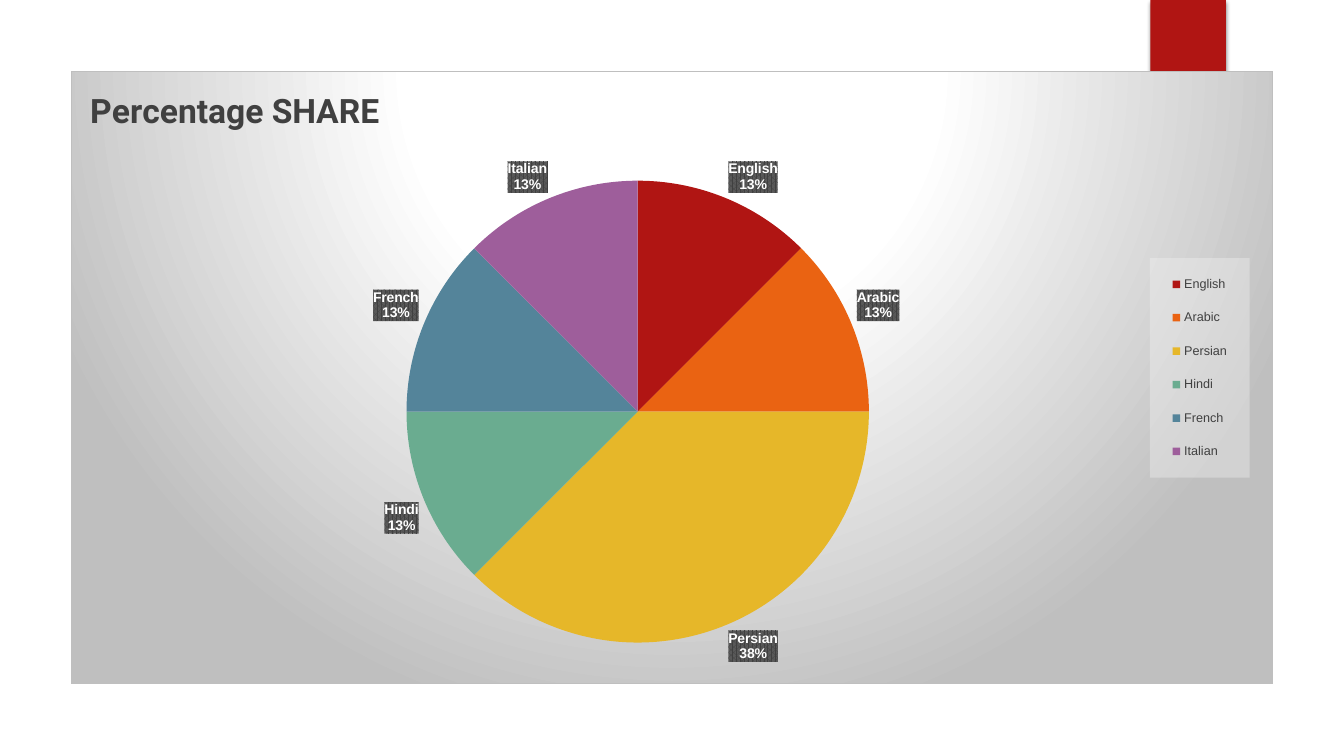
from pptx import Presentation
from pptx.chart.data import CategoryChartData
from pptx.dml.color import RGBColor
from pptx.enum.chart import XL_CHART_TYPE, XL_LABEL_POSITION, XL_LEGEND_POSITION
from pptx.enum.shapes import MSO_SHAPE
from pptx.oxml import parse_xml
from pptx.oxml.ns import nsdecls, qn
from pptx.util import Inches, Pt


def paint(fill, color):
    fill.solid()
    fill.fore_color.rgb = RGBColor.from_string(color)


def write(item, text="", size=10, color="000000", bold=False, face="Arial"):
    font = item
    if text:
        run = item.paragraphs[0].add_run()
        run.text = text
        font = run.font
    font.size = Pt(size)
    font.bold = bold
    font.name = face
    paint(font.fill, color)


deck = Presentation()
deck.slide_width = Inches(13.33)
deck.slide_height = Inches(7.5)
slide = deck.slides.add_slide(deck.slide_layouts[6])

blocks = [(0.52, 0.53, 12.29, 6.45, "FFFFFF"), (11.41, 0, 0.75, 1.25, "B01513")]
for left, top, width, height, color in blocks:
    block = slide.shapes.add_shape(
        MSO_SHAPE.RECTANGLE, Inches(left), Inches(top), Inches(width), Inches(height))
    paint(block.fill, color)
    block.line.fill.background()
    block.shadow.inherit = False

block._element.spPr.find(qn("a:effectLst")).append(parse_xml(
    f'<a:outerShdw {nsdecls("a")} blurRad="38100" dist="25400" dir="5400000">'
    '<a:srgbClr val="000000"><a:alpha val="45000"/></a:srgbClr></a:outerShdw>'))

shares = {
    "English": (12, "B01513"),
    "Arabic": (12, "EA6312"),
    "Persian": (36, "E6B729"),
    "Hindi": (12, "6AAC90"),
    "French": (12, "54849A"),
    "Italian": (12, "9E5E9B"),
}
data = CategoryChartData()
data.categories = list(shares)
data.add_series("Series 1", [value for value, color in shares.values()])
wide, high = 11.93, 6.09
chart = slide.shapes.add_chart(
    XL_CHART_TYPE.PIE, Inches(0.7), Inches(0.7), Inches(wide), Inches(high), data).chart
write(chart.font)

chart.has_title = True
title = chart.chart_title
title.include_in_layout = False
write(title.text_frame, "Percentage SHARE", size=24, color="404040", bold=True, face="Roboto")

chart.has_legend = True
legend = chart.legend
legend.position = XL_LEGEND_POSITION.RIGHT
legend.include_in_layout = False
write(legend.font, size=9, color="404040")

plot = chart.plots[0]
plot.vary_by_categories = True
pie = plot.series[0]
for index, (value, color) in enumerate(shares.values()):
    paint(pie.points[index].format.fill, color)

labels = pie.data_labels
labels.show_value = False
labels.show_percentage = True
labels.show_category_name = True
labels.number_format = "0%"
labels.number_format_is_linked = False
labels.position = XL_LABEL_POSITION.OUTSIDE_END
write(labels.font, color="FFFFFF", bold=True)

root = chart._chartSpace
tags = labels._element
tags.find(qn("c:showBubbleSize")).addnext(
    parse_xml(f'<c:separator {nsdecls("c")}>\n</c:separator>'))

area = root.chart.plotArea
key = legend._element
head = title._element
places = [
    (head, "c:tx", "", (0.13, 0.11)),
    (area, None, '<c:layoutTarget val="inner"/>', (3.33, 1.09, 4.59, 4.59)),
    (key, "c:legendPos", "", (10.71, 1.86, 0.99, 2.18)),
]
for host, before, target, sizes in places:
    for old in host.findall(qn("c:layout")):
        host.remove(old)
    modes = "".join(f'<c:{name}Mode val="edge"/>' for name in "xy")
    spots = "".join(
        f'<c:{name} val="{size / full}"/>'
        for name, size, full in zip("xywh", sizes, (wide, high, wide, high)))
    layout = parse_xml(
        f'<c:layout {nsdecls("c")}><c:manualLayout>{target}{modes}{spots}'
        '</c:manualLayout></c:layout>')
    if before:
        host.find(qn(before)).addnext(layout)
    else:
        host.insert(0, layout)

stops = "".join(
    f'<a:gs pos="{spot}000"><a:srgbClr val="{color}"/></a:gs>'
    for spot, color in [(0, "FFFFFF"), (39, "FFFFFF"), (100, "BFBFBF")])
fills = [
    (root, f'<a:gradFill><a:gsLst>{stops}</a:gsLst><a:path path="circle">'
           '<a:fillToRect l="50000" t="-80000" r="50000" b="180000"/></a:path></a:gradFill>'
           '<a:ln w="9525"><a:solidFill><a:srgbClr val="BFBFBF"/></a:solidFill></a:ln>'),
    (key, '<a:solidFill><a:srgbClr val="F2F2F2"><a:alpha val="39000"/></a:srgbClr></a:solidFill>'),
    (tags, '<a:pattFill prst="pct75"><a:fgClr><a:srgbClr val="404040"/></a:fgClr>'
           '<a:bgClr><a:srgbClr val="595959"/></a:bgClr></a:pattFill>'),
]
for host, fill in fills:
    host.find(qn("c:txPr")).addprevious(
        parse_xml(f'<c:spPr {nsdecls("c", "a")}>{fill}</c:spPr>'))

deck.save("out.pptx")
